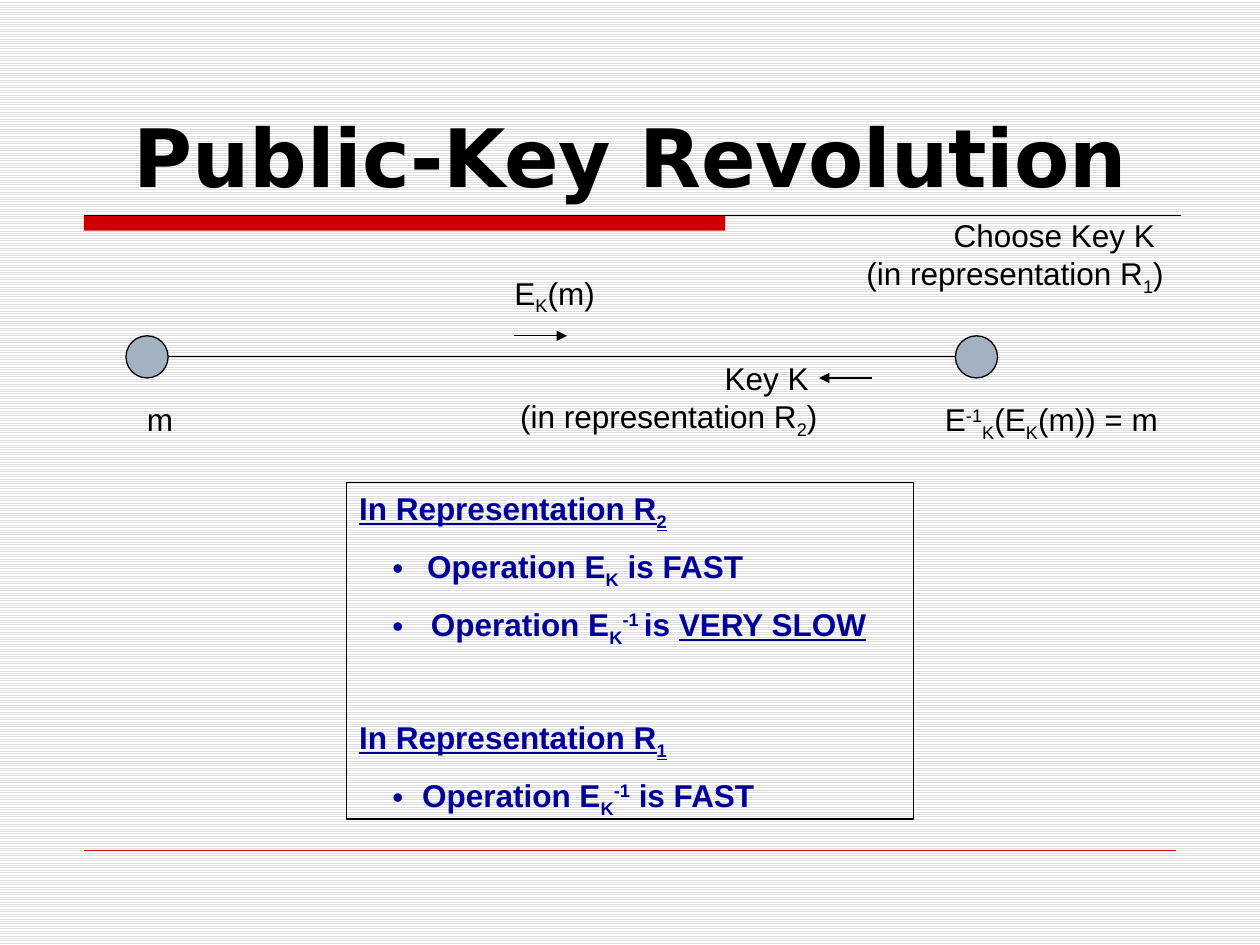
"""Build the Public-Key Revolution slide."""
from lxml.etree import SubElement
from pptx import Presentation
from pptx.dml.color import RGBColor
from pptx.enum.dml import MSO_PATTERN
from pptx.enum.shapes import MSO_CONNECTOR, MSO_SHAPE
from pptx.enum.text import MSO_ANCHOR, PP_ALIGN, MSO_AUTO_SIZE as AutoSize
from pptx.oxml.ns import qn
from pptx.util import Cm, Pt

COLORS = {
    name: RGBColor.from_string(value)
    for name, value in {
        "ink": "000000", "red": "CC0000", "node": "A3B2C1",
        "notes": "000099", "stripe": "DDDDDD", "paper": "FFFFFF",
    }.items()
}
SUB, SUP = -25000, 30000


def add_line(shapes, start, end, color="ink", width=0.75, arrow=False):
    line = shapes.add_connector(MSO_CONNECTOR.STRAIGHT, *map(Cm, start + end))
    line.line.color.rgb = COLORS[color]
    line.line.width = Pt(width)
    if arrow:
        SubElement(line.line._get_or_add_ln(), qn("a:tailEnd"), type="triangle")
    SubElement(line._element.spPr, qn("a:effectLst"))


def add_runs(paragraph, pieces, color="ink", bold=False, underline=False):
    for text, *style in pieces:
        run = paragraph.add_run()
        run.text = text
        font = run.font
        font.name, font.size, font.bold = "Arial", Pt(18), bold
        font.underline = underline or "underline" in style
        font.color.rgb = COLORS[color]
        for shift in (SUB, SUP):
            if shift in style:
                run._r.get_or_add_rPr().set("baseline", str(shift))


prs = Presentation()
prs.slide_width, prs.slide_height = Cm(25.4), Cm(19.05)
slide = prs.slides.add_slide(prs.slide_layouts[5])

backdrop = slide.background.fill
backdrop.patterned()
backdrop.pattern = MSO_PATTERN.LIGHT_HORIZONTAL
backdrop.fore_color.rgb = COLORS["stripe"]
backdrop.back_color.rgb = COLORS["paper"]

title_bar = slide.shapes.add_shape(
    MSO_SHAPE.RECTANGLE, Cm(1.69), Cm(4.34), Cm(12.93), Cm(0.31))
title_bar.shadow.inherit = False
title_bar.fill.solid()
title_bar.fill.fore_color.rgb = COLORS["red"]
title_bar.line.fill.background()
add_line(slide.shapes, (1.69, 4.34), (23.8, 4.34))
add_line(slide.shapes, (1.69, 17.15), (23.7, 17.15), "red", 0.25)

title = slide.shapes.title
title.left, title.top, title.width, title.height = map(Cm, (1.59, 0.85, 22.23, 3.39))
title.text_frame.text = "Public-Key Revolution"
title.text_frame.vertical_anchor = MSO_ANCHOR.BOTTOM
title.text_frame.auto_size = AutoSize.NONE
heading = title.text_frame.paragraphs[0]
heading.alignment = PP_ALIGN.CENTER
heading_font = heading.runs[0].font
heading_font.name, heading_font.size, heading_font.bold = "DejaVu Sans", Pt(46), True
heading_font.color.rgb = COLORS["ink"]

channel = slide.shapes.add_group_shape().shapes
for left in (2.54, 19.26):
    party = channel.add_shape(
        MSO_SHAPE.OVAL, Cm(left), Cm(6.77), Cm(0.85), Cm(0.85))
    party.shadow.inherit = False
    party.fill.solid()
    party.fill.fore_color.rgb = COLORS["node"]
    party.line.color.rgb = COLORS["ink"]
    party.line.width = Pt(0.75)
add_line(channel, (3.39, 7.19), (19.26, 7.19))
add_line(channel, (10.37, 6.77), (11.43, 6.77), arrow=True)
add_line(channel, (17.57, 7.62), (16.51, 7.62), arrow=True)

labels = [
    (10.12, 5.39, 2.16, 1.02, [[("E",), ("K", SUB), ("(m)",)]]),
    (2.71, 7.94, 1.04, 1.02, [[("m",)]]),
    (18.8, 7.94, 4.93, 1.02,
     [[("E",), ("-1", SUP), ("K", SUB), ("(E",), ("K", SUB), ("(m)) = m",)]]),
    (10.2, 7.11, 6.53, 1.78,
     [[("Key K ",)], [("(in representation R",), ("2", SUB), (")",)]]),
    (17.18, 4.23, 6.53, 1.78,
     [[("Choose Key K ",)], [("(in representation R",), ("1", SUB), (")",)]]),
]
for *box, lines in labels:
    label = channel.add_textbox(*map(Cm, box)).text_frame
    label.word_wrap = False
    label.auto_size = AutoSize.SHAPE_TO_FIT_TEXT
    for number, pieces in enumerate(lines):
        paragraph = label.add_paragraph() if number else label.paragraphs[0]
        paragraph.alignment = PP_ALIGN.RIGHT if len(lines) > 1 else PP_ALIGN.LEFT
        add_runs(paragraph, pieces)

summary = slide.shapes.add_shape(
    MSO_SHAPE.RECTANGLE, Cm(6.99), Cm(9.73), Cm(11.43), Cm(6.78))
summary.shadow.inherit = False
summary.fill.background()
summary.line.color.rgb = COLORS["ink"]
summary.line.width = Pt(0.75)
notes = summary.text_frame
notes.word_wrap = True
notes.vertical_anchor = MSO_ANCHOR.TOP

statements = [
    (False, 0, [("In Representation R",), ("2", SUB)]),
    (True, 8.6, [(" ", SUB), ("Operation E",), ("K", SUB), (" is FAST",)]),
    (True, 8.6, [(" Operation E",), ("K", SUB), ("-1 ", SUP), ("is ",),
                 ("VERY SLOW", "underline")]),
    (False, 40, [("In Representation R",), ("1", SUB)]),
    (True, 8.6, [("Operation E",), ("K", SUB), ("-1", SUP), (" is FAST",)]),
]
for number, (bulleted, gap, pieces) in enumerate(statements):
    paragraph = notes.add_paragraph() if number else notes.paragraphs[0]
    paragraph.alignment = PP_ALIGN.LEFT
    paragraph.space_before = Pt(gap)
    if bulleted:
        paragraph.level = 1
        properties = paragraph._p.get_or_add_pPr()
        properties.set("marL", str(Cm(1.27)))
        properties.set("indent", str(-Cm(0.6)))
        SubElement(properties, qn("a:buFont"), typeface="Arial")
        SubElement(properties, qn("a:buChar"), char="•")
    add_runs(paragraph, pieces, "notes", bold=True, underline=not bulleted)

prs.save("out.pptx")
